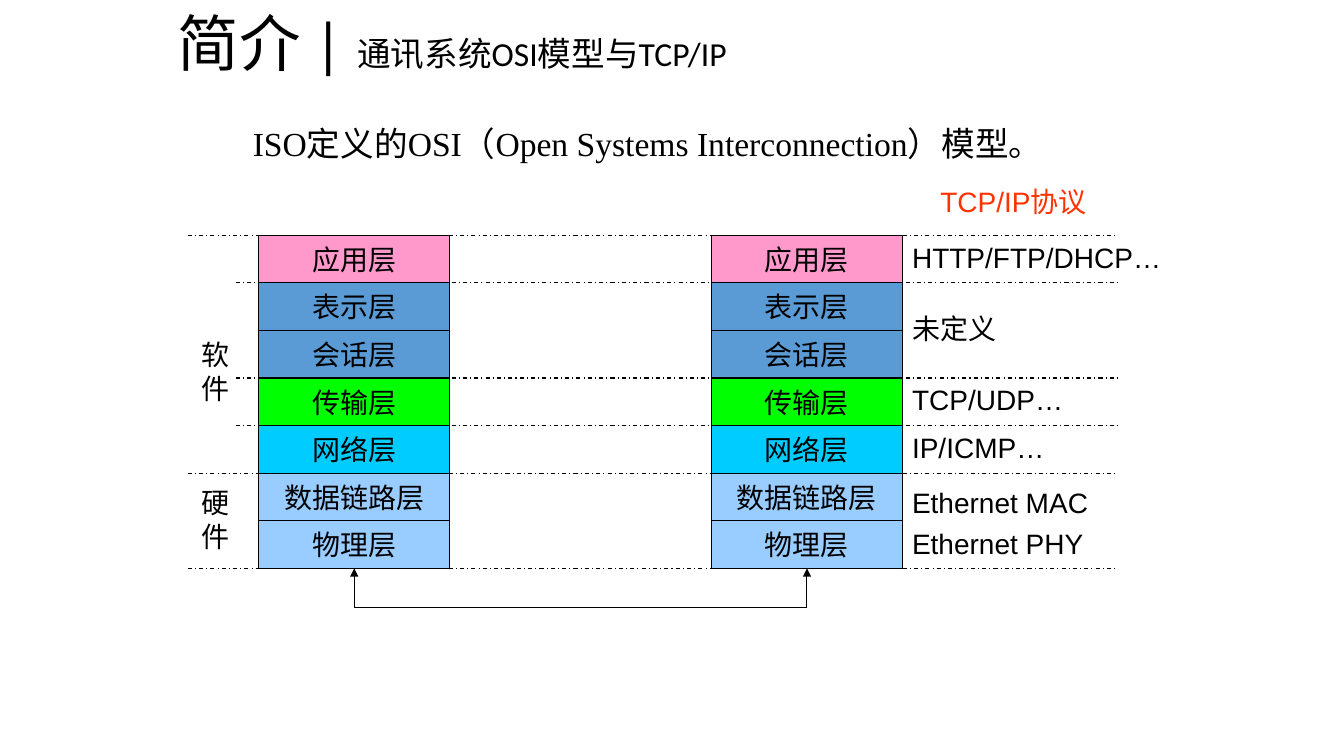
from dataclasses import dataclass

from lxml.etree import SubElement
from pptx import Presentation
from pptx.dml.color import RGBColor
from pptx.enum.dml import MSO_LINE
from pptx.enum.shapes import MSO_CONNECTOR, MSO_SHAPE
from pptx.enum.text import MSO_ANCHOR, PP_ALIGN
from pptx.oxml.ns import qn
from pptx.util import Pt


@dataclass(frozen=True)
class Theme:
    ink: str = "000000"
    accent: str = "FF3300"
    application: str = "FF99CC"
    session: str = "5B9BD5"
    transport: str = "00FF00"
    network: str = "00CCFF"
    hardware: str = "99CCFF"
    title_font: str = "Calibri"
    intro_font: str = "Times New Roman"
    label_font: str = "Arial"
    title_size: int = 44
    subtitle_size: int = 24
    label_size: int = 20
    line_width: float = 0.75


THEME = Theme()

TITLE = "简介 | "
SUBTITLE = "通讯系统OSI模型与TCP/IP"
INTRO = "ISO定义的OSI（Open Systems Interconnection）模型。"
PROTOCOL_HEADING = "TCP/IP协议"
LAYERS = [
    ("应用层", THEME.application),
    ("表示层", THEME.session),
    ("会话层", THEME.session),
    ("传输层", THEME.transport),
    ("网络层", THEME.network),
    ("数据链路层", THEME.hardware),
    ("物理层", THEME.hardware),
]
# Text lines, offset from the top of the stack in rows
PROTOCOLS = [
    (["HTTP/FTP/DHCP…"], 0),
    (["未定义"], 1.5),
    (["TCP/UDP…"], 3),
    (["IP/ICMP…"], 4),
    (["Ethernet MAC", "Ethernet PHY"], 5.16),
]
SIDES = [("软件", 2.05), ("硬件", 5.16)]
# Row boundary, whether the divider spans the side labels too
DIVIDERS = [(0, True), (1, False), (3, False), (4, False), (5, True), (7, True)]

STACK_TOP, ROW_HEIGHT = 168, 34
STACK_LEFTS, STACK_WIDTH = (185, 508.3), 136.2
DIVIDER_LEFT, DIVIDER_INDENT, DIVIDER_RIGHT = 134, 168.5, 798
SIDE_LEFT, SIDE_WIDTH = 136.8, 31
PROTOCOL_LEFT, PROTOCOL_WIDTH = 644.4, 196
LINK_Y = 434

presentation = Presentation()
presentation.slide_width, presentation.slide_height = Pt(960), Pt(540)
slide = presentation.slides.add_slide(presentation.slide_layouts[6])


def row_y(row):
    return STACK_TOP + row * ROW_HEIGHT


def add_run(paragraph, text, *, size, font, color=THEME.ink):
    run = paragraph.add_run()
    run.text = text
    run.font.size = Pt(size)
    run.font.name = font
    run.font.color.rgb = RGBColor.from_string(color)


def write(frame, lines, *, size=THEME.label_size, font=THEME.label_font,
          color=THEME.ink, align=PP_ALIGN.LEFT, anchor=MSO_ANCHOR.TOP,
          wrap=True, gap=5):
    """Fill a text frame with one paragraph per line and return the last."""
    frame.word_wrap = wrap
    frame.vertical_anchor = anchor
    for index, line in enumerate(lines):
        paragraph = frame.add_paragraph() if index else frame.paragraphs[0]
        paragraph.alignment = align
        if index:
            paragraph.space_before = Pt(gap)
        add_run(paragraph, line, size=size, font=font, color=color)
    return paragraph


def add_label(lines, left, top, width, height=31, **text_format):
    box = slide.shapes.add_textbox(Pt(left), Pt(top), Pt(width), Pt(height))
    return write(box.text_frame, lines, **text_format)


def add_layer(name, fill, left, top):
    layer = slide.shapes.add_shape(
        MSO_SHAPE.RECTANGLE, Pt(left), Pt(top), Pt(STACK_WIDTH), Pt(ROW_HEIGHT))
    layer.shadow.inherit = False
    layer.fill.solid()
    layer.fill.fore_color.rgb = RGBColor.from_string(fill)
    layer.line.color.rgb = RGBColor.from_string(THEME.ink)
    layer.line.width = Pt(THEME.line_width)
    write(layer.text_frame, [name], align=PP_ALIGN.CENTER,
          anchor=MSO_ANCHOR.MIDDLE, wrap=False)
    return layer


def add_line(x1, y1, x2, y2, *, dash=None, arrow_at_start=False):
    line = slide.shapes.add_connector(
        MSO_CONNECTOR.STRAIGHT, Pt(x1), Pt(y1), Pt(x2), Pt(y2))
    line.line.color.rgb = RGBColor.from_string(THEME.ink)
    line.line.width = Pt(THEME.line_width)
    if dash:
        line.line.dash_style = dash
    properties = line._element.spPr
    if arrow_at_start:
        SubElement(properties.find(qn("a:ln")), qn("a:headEnd"), type="triangle")
    SubElement(properties, qn("a:effectLst"))
    return line


heading = add_label([TITLE], 120, 0, 648, 66, size=THEME.title_size,
                    font=THEME.title_font, anchor=MSO_ANCHOR.MIDDLE)
heading.line_spacing = 0.9
add_run(heading, SUBTITLE, size=THEME.subtitle_size, font=THEME.title_font)
add_label([INTRO], 173.5, 84, 638, 36,
          size=THEME.subtitle_size, font=THEME.intro_font)

stack_centers = [left + STACK_WIDTH / 2 for left in STACK_LEFTS]
for left, center in zip(STACK_LEFTS, stack_centers):
    for row, (name, fill) in enumerate(LAYERS):
        bottom_layer = add_layer(name, fill, left, row_y(row))
    arrow = add_line(center, row_y(len(LAYERS)), center, LINK_Y,
                     arrow_at_start=True)
    arrow.begin_connect(bottom_layer, 2)
add_line(stack_centers[0], LINK_Y, stack_centers[1], LINK_Y)

for row, full_width in DIVIDERS:
    start = DIVIDER_LEFT if full_width else DIVIDER_INDENT
    add_line(start, row_y(row), DIVIDER_RIGHT, row_y(row),
             dash=MSO_LINE.DASH_DOT)

add_label([PROTOCOL_HEADING], 664.6, 128.2, 127.4, color=THEME.accent)
for lines, row in PROTOCOLS:
    add_label(lines, PROTOCOL_LEFT, row_y(row), PROTOCOL_WIDTH, 31 * len(lines))
for side, row in SIDES:
    add_label([side], SIDE_LEFT, row_y(row), SIDE_WIDTH, 55.4)

presentation.save("out.pptx")
